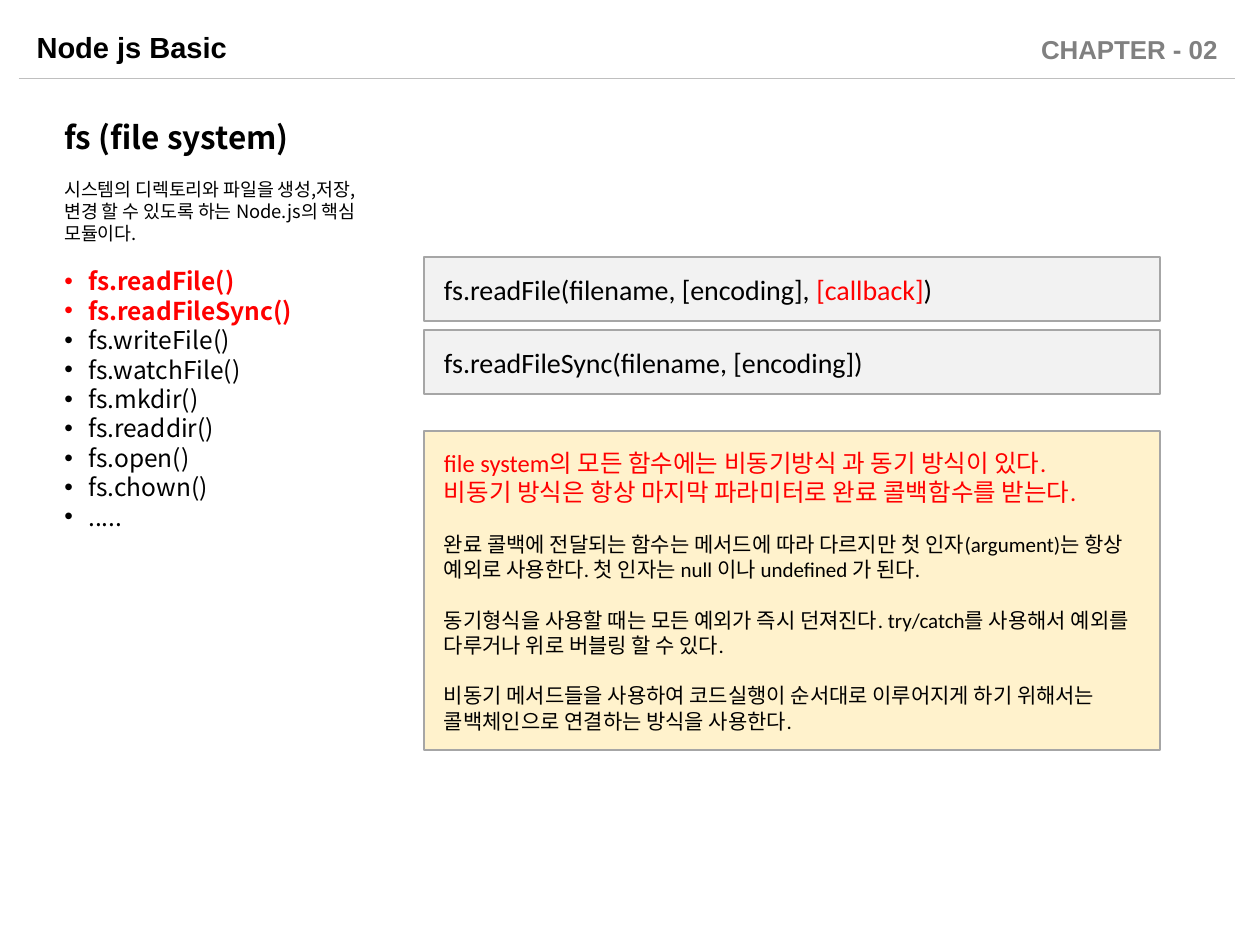
import pptx
import pptx.dml.color
import pptx.enum.shapes
import pptx.enum.text
import pptx.oxml.ns
import pptx.util
from lxml import etree

EMU_PER_PX = 914400 / 126
HANGUL_FONT = "Noto Sans CJK KR"
BLACK, RED, GRAY = "000000", "FF0000", "A6A6A6"
LINE_HEIGHT = 1.2

METHODS = ["readFile", "readFileSync", "writeFile", "watchFile",
           "mkdir", "readdir", "open", "chown"]
KEY_METHODS = METHODS[:2]
RULES = [
    "file system의 모든 함수에는 비동기방식 과 동기 방식이 있다.",
    "비동기 방식은 항상 마지막 파라미터로 완료 콜백함수를 받는다.",
]
DETAILS = [
    "완료 콜백에 전달되는 함수는 메서드에 따라 다르지만 첫 인자(argument)는 "
    "항상 예외로 사용한다. 첫 인자는 null 이나 undefined 가 된다.",
    "동기형식을 사용할 때는 모든 예외가 즉시 던져진다. try/catch를 사용해서 "
    "예외를 다루거나 위로 버블링 할 수 있다.",
    "비동기 메서드들을 사용하여 코드실행이 순서대로 이루어지게 하기 위해서는 "
    "콜백체인으로 연결하는 방식을 사용한다.",
]


def px(length):
    return pptx.util.Emu(round(length * EMU_PER_PX))


def color(value):
    return pptx.dml.color.RGBColor.from_string(value)


def add_run(paragraph, text, size, font, fill=BLACK, bold=False):
    run = paragraph.add_run()
    run.text = text
    run.font.size = pptx.util.Pt(size)
    run.font.name = font
    run.font.bold = bold
    run.font.color.rgb = color(fill)
    east_asian = etree.SubElement(run.font._element, pptx.oxml.ns.qn("a:ea"))
    east_asian.set("typeface", HANGUL_FONT)


def add_paragraph(frame, size, before=0):
    """Return the next paragraph of the frame, reusing its empty first one."""
    first = frame.paragraphs[0]
    paragraph = frame.add_paragraph() if first.runs else first
    paragraph.alignment = pptx.enum.text.PP_ALIGN.LEFT
    paragraph.line_spacing = pptx.util.Pt(round(size * LINE_HEIGHT, 1))
    paragraph.space_before = pptx.util.Pt(before)
    return paragraph


def add_bullet(paragraph, indent):
    properties = paragraph._p.get_or_add_pPr()
    properties.set("marL", str(px(indent)))
    properties.set("indent", str(-px(indent)))
    font = etree.SubElement(properties, pptx.oxml.ns.qn("a:buFont"))
    font.set("typeface", "Arial")
    bullet = etree.SubElement(properties, pptx.oxml.ns.qn("a:buChar"))
    bullet.set("char", "•")


def add_header(slide, left, top, width):
    # Title
    title = slide.shapes.title
    title.left, title.top = px(left + 5), px(top)
    title.width, title.height = px(640), px(48)
    title.text_frame.vertical_anchor = pptx.enum.text.MSO_ANCHOR.MIDDLE
    paragraph = title.text_frame.paragraphs[0]
    paragraph.alignment = pptx.enum.text.PP_ALIGN.LEFT
    add_run(paragraph, "Node js Basic", 16.6, "Arial", bold=True)

    # Chapter label
    label = slide.shapes.add_textbox(
        px(left + width - 258), px(top + 4), px(253), px(44))
    label.text_frame.word_wrap = True
    paragraph = label.text_frame.paragraphs[0]
    paragraph.alignment = pptx.enum.text.PP_ALIGN.RIGHT
    add_run(paragraph, "CHAPTER - 02", 14.8, "Arial", "808080", True)

    # Rule under the header
    rule = slide.shapes.add_connector(
        pptx.enum.shapes.MSO_CONNECTOR.STRAIGHT,
        px(left), px(top + 55), px(left + width), px(top + 55))
    rule.line.color.rgb = color("BFBFBF")
    rule.line.width = pptx.util.Pt(0.5)
    etree.SubElement(rule._element.spPr, pptx.oxml.ns.qn("a:effectLst"))


def add_overview(slide, left, top, width, height):
    box = slide.shapes.add_textbox(px(left), px(top), px(width), px(height))
    frame = box.text_frame
    frame.word_wrap = True

    # Heading and description
    add_run(add_paragraph(frame, 18), "fs (file system)", 18, HANGUL_FONT,
            bold=True)
    add_run(add_paragraph(frame, 10.5, before=12.6),
            "시스템의 디렉토리와 파일을 생성,저장,변경 할 수 있도록 하는 "
            "Node.js의 핵심 모듈이다.", 10.5, HANGUL_FONT)

    # Method list
    entries = [(f"fs.{name}()", name in KEY_METHODS) for name in METHODS]
    for index, (text, is_key) in enumerate(entries + [(".....", False)]):
        paragraph = add_paragraph(frame, 14, before=0 if index else 12.6)
        add_bullet(paragraph, 24)
        add_run(paragraph, text, 14, HANGUL_FONT,
                RED if is_key else BLACK, is_key)


def add_panel(slide, left, top, width, height, fill):
    """Add a bordered panel and return its text frame."""
    panel = slide.shapes.add_shape(
        pptx.enum.shapes.MSO_SHAPE.RECTANGLE,
        px(left), px(top), px(width), px(height))
    panel.shadow.inherit = False
    panel.fill.solid()
    panel.fill.fore_color.rgb = color(fill)
    panel.line.color.rgb = color(GRAY)
    panel.line.width = pptx.util.Pt(0.75)
    frame = panel.text_frame
    frame.word_wrap = True
    frame.vertical_anchor = pptx.enum.text.MSO_ANCHOR.MIDDLE
    frame.margin_left = frame.margin_right = px(20)
    frame.margin_top = frame.margin_bottom = px(15)
    return frame


def add_signature(slide, left, top, width, height, parts):
    frame = add_panel(slide, left, top, width, height, "F2F2F2")
    paragraph = add_paragraph(frame, 16)
    for text, fill in parts:
        add_run(paragraph, text, 16, "Calibri", fill)


def add_explanation(slide, left, top, width, height):
    frame = add_panel(slide, left, top, width, height, "FFF2CC")
    for text in RULES:
        add_run(add_paragraph(frame, 14), text, 14, "Calibri", RED)
    for text in DETAILS:
        add_run(add_paragraph(frame, 12, before=14.4), text, 12, "Calibri")


def main():
    presentation = pptx.Presentation()
    presentation.slide_width, presentation.slide_height = px(1260), px(945)
    slide = presentation.slides.add_slide(presentation.slide_layouts[5])

    add_header(slide, 19, 23, 1216)
    add_overview(slide, 52, 112, 328, 430)
    add_explanation(slide, 424, 431, 736, 319)

    signatures = [
        [("fs.readFile(filename, [encoding], ", BLACK),
         ("[callback]", RED), (")", BLACK)],
        [("fs.readFileSync(filename, [encoding])", BLACK)],
    ]
    for index, parts in enumerate(signatures):
        add_signature(slide, 424, 257 + index * 73, 736, 64, parts)

    presentation.save("out.pptx")


if __name__ == "__main__":
    main()
